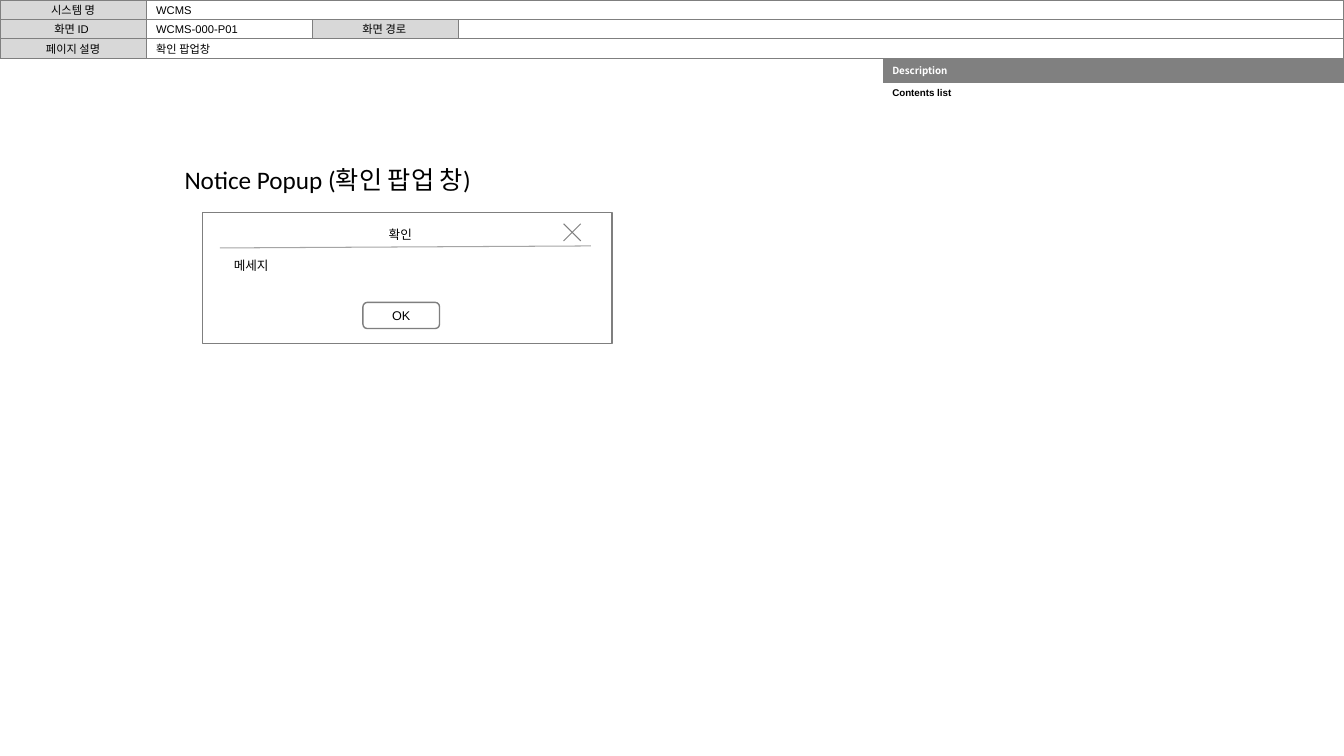
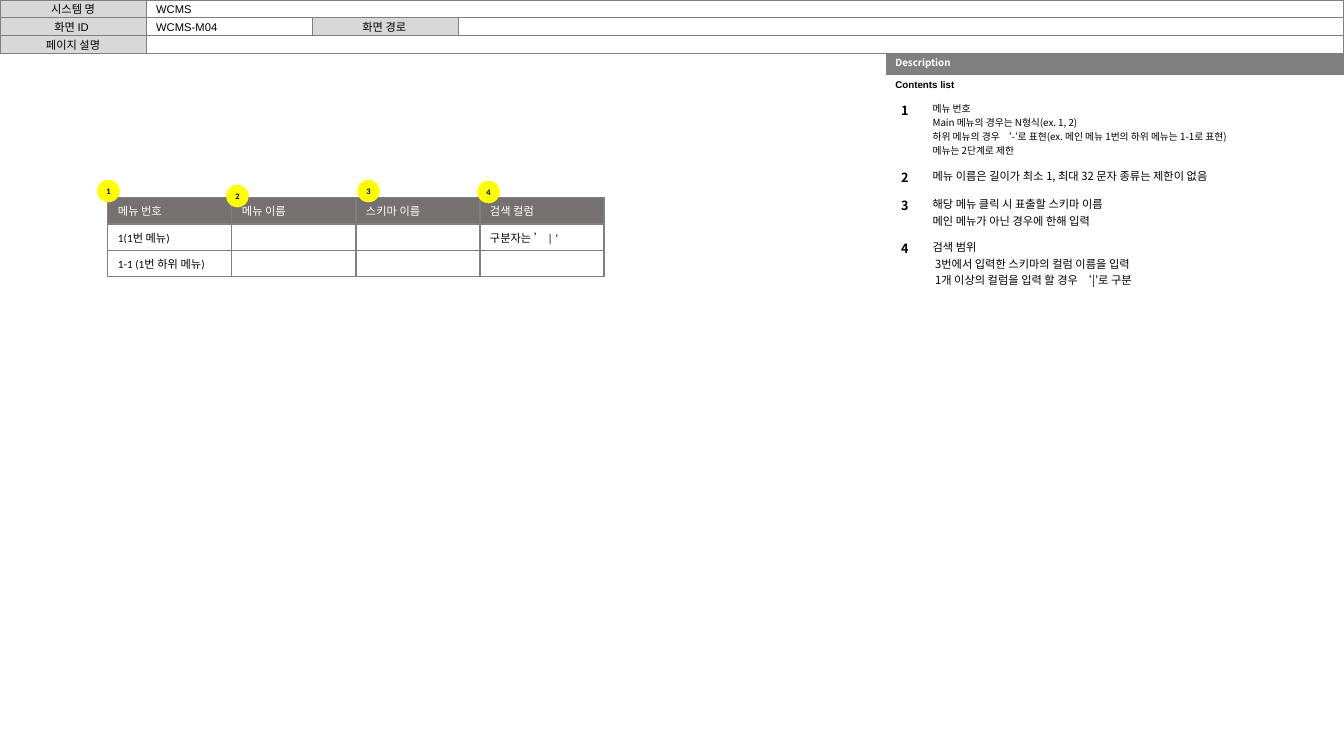
from lxml.etree import SubElement
from pptx import Presentation
from pptx.dml.color import RGBColor
from pptx.enum.shapes import MSO_CONNECTOR, MSO_SHAPE
from pptx.enum.text import MSO_ANCHOR, PP_ALIGN
from pptx.oxml import parse_xml
from pptx.oxml.ns import nsdecls, qn
from pptx.util import Inches, Pt

WIDTH, HEIGHT = 13.33, 7.5
HANGUL = "Noto Sans CJK KR"
COLORS = {
    "text": "000000",
    "white": "FFFFFF",
    "label": "D8D8D8",
    "border": "7F7F7F",
    "rule": "A5A5A5",
    "band": "808080",
    "menu": "767171",
    "marker": "FFFF00",
}
RGB = {role: RGBColor.from_string(value) for role, value in COLORS.items()}
FORMATS = {
    "title": {"name": "Calibri", "size": Pt(18), "bold": False},
    "header": {"name": "Arial", "size": Pt(8)},
    "popup": {"name": "Arial", "size": Pt(9)},
    "band": {"name": HANGUL, "size": Pt(7), "bold": True},
    "contents": {"name": "Arial", "size": Pt(7), "bold": True},
    "number": {"name": HANGUL, "size": Pt(9), "bold": True},
    "note_small": {"name": HANGUL, "size": Pt(7)},
    "note": {"name": HANGUL, "size": Pt(8)},
    "menu": {"name": "Calibri", "size": Pt(8)},
    "marker": {"name": "Calibri", "size": Pt(6), "bold": True},
}
NO_GRID_STYLE = "{2D5ABB26-0587-4C30-8999-92F81FD0307C}"
COLUMN_EDGES = [0, 1.45, 3.1, 4.55, WIDTH]
BAND_HEIGHT, CONTENTS_HEIGHT = 0.24, 0.21


def write(frame, text, style, color="text", align=PP_ALIGN.LEFT):
    for index, line in enumerate(text.split("\n")):
        paragraph = frame.paragraphs[0] if index == 0 else frame.add_paragraph()
        paragraph.alignment = align
        if not line:
            ending = paragraph._p.get_or_add_endParaRPr()
            ending.set("sz", str(FORMATS[style]["size"].centipoints))
            continue
        run = paragraph.add_run()
        run.text = line
        for attribute, value in FORMATS[style].items():
            setattr(run.font, attribute, value)
        run.font.color.rgb = RGB[color]
        SubElement(run.font._element if hasattr(run.font, "_element") else run._r.rPr,
                   qn("a:ea"), typeface=HANGUL)


def draw(slide, kind, box, text="", style="popup", fill=None, line=None,
         weight=0.75, align=PP_ALIGN.CENTER, inset=0.1):
    shape = slide.shapes.add_shape(kind, *map(Inches, box))
    shape.shadow.inherit = False
    if fill:
        shape.fill.solid()
        shape.fill.fore_color.rgb = RGB[fill]
    else:
        shape.fill.background()
    if line:
        shape.line.color.rgb = RGB[line]
        shape.line.width = Pt(weight)
    else:
        shape.line.fill.background()
    frame = shape.text_frame
    settings = {"word_wrap": True, "vertical_anchor": MSO_ANCHOR.MIDDLE,
                "margin_left": Inches(inset), "margin_right": Inches(inset),
                "margin_top": 0, "margin_bottom": 0}
    for attribute, value in settings.items():
        setattr(frame, attribute, value)
    if text:
        write(frame, text, style, align=align)


presentation = Presentation()
presentation.slide_width = Inches(WIDTH)
presentation.slide_height = Inches(HEIGHT)
title_only, blank = presentation.slide_layouts[5], presentation.slide_layouts[6]

NOTES = [
    ("note_small", 0.66, "메뉴 번호\nMain 메뉴의 경우는 N형식(ex. 1, 2)\n"
     "하위 메뉴의 경우 ‘-’로 표현(ex. 메인 메뉴 1번의 하위 메뉴는 1-1로 표현)\n"
     "메뉴는 2단계로 제한"),
    ("note", 0.28, "메뉴 이름은 길이가 최소 1, 최대 32 문자 종류는 제한이 없음"),
    ("note", 0.42, "해당 메뉴 클릭 시 표출할 스키마 이름\n메인 메뉴가 아닌 경우에 한해 입력"),
    ("note", 0.58, "검색 범위\n 3번에서 입력한 스키마의 컬럼 이름을 입력\n"
     " 1개 이상의 컬럼을 입력 할 경우 ‘|’로 구분"),
]
SCREENS = [
    {"layout": title_only, "id": "WCMS-000-P01", "about": "확인 팝업창",
     "header": 0.58, "left": 8.76, "top": 0.58, "number": 0.54, "notes": [], "spare": 0.24},
    {"layout": blank, "id": "WCMS-M04", "about": "",
     "header": 0.53, "left": 8.79, "top": 0.5, "number": 0.37, "notes": NOTES, "spare": 0.2},
]
DESCRIPTION_ROWS = 12

slides = []
for screen in SCREENS:
    slide = presentation.slides.add_slide(screen["layout"])
    slides.append(slide)

    notes = screen["notes"]
    heights = [BAND_HEIGHT, CONTENTS_HEIGHT] + [note[1] for note in notes]
    heights += [screen["spare"]] * (DESCRIPTION_ROWS - len(heights))
    description_width = WIDTH - screen["left"]
    description = slide.shapes.add_table(
        DESCRIPTION_ROWS, 2, Inches(screen["left"]), Inches(screen["top"]),
        Inches(description_width), Inches(sum(heights))).table
    description._tbl.tblPr[0].text = NO_GRID_STYLE
    description.first_row = description.horz_banding = False
    description.columns[0].width = Inches(screen["number"])
    description.columns[1].width = Inches(description_width - screen["number"])
    for row, height in zip(description.rows, heights):
        row.height = Inches(height)
    for row in range(2):
        description.cell(row, 0).merge(description.cell(row, 1))
    for cell in description.iter_cells():
        cell.margin_left = cell.margin_right = Inches(0.09)
        cell.fill.background()
    band = description.cell(0, 0)
    band.fill.solid()
    band.fill.fore_color.rgb = RGB["band"]
    write(band.text_frame, "Description", "band", "white")
    write(description.cell(1, 0).text_frame, "Contents list", "contents")
    for row in range(2, DESCRIPTION_ROWS):
        number, detail = description.cell(row, 0), description.cell(row, 1)
        number.margin_left = number.margin_right = 0
        style, _, text = notes[row - 2] if row - 2 < len(notes) else ("note_small", 0, "")
        write(number.text_frame, str(row - 1) if text else "", "number" if text else style,
              align=PP_ALIGN.CENTER)
        write(detail.text_frame, text, style)

    header_row = screen["header"] / 3
    header_cells = [
        (0, 0, 1, "시스템 명"), (0, 1, 4, "WCMS"),
        (1, 0, 1, "화면 ID "), (1, 1, 2, screen["id"]),
        (1, 2, 3, "화면 경로 "), (1, 3, 4, ""),
        (2, 0, 1, "페이지 설명"), (2, 1, 4, screen["about"]),
    ]
    for row, start, end, text in header_cells:
        is_label = start in (0, 2)
        left, right = COLUMN_EDGES[start], COLUMN_EDGES[end]
        draw(slide, MSO_SHAPE.RECTANGLE, (left, row * header_row, right - left, header_row),
             text, "header", "label" if is_label else "white", "border",
             align=PP_ALIGN.CENTER if is_label else PP_ALIGN.LEFT)

popup_slide, menu_slide = slides

title = popup_slide.shapes.title
title_format = {"left": Inches(1.73), "top": Inches(1.58),
                "width": Inches(3.28), "height": Inches(0.4)}
for attribute, value in title_format.items():
    setattr(title, attribute, value)
title.text_frame.word_wrap = False
title.text_frame.vertical_anchor = MSO_ANCHOR.MIDDLE
write(title.text_frame, "Notice Popup (확인 팝업 창)", "title")

draw(popup_slide, MSO_SHAPE.RECTANGLE, (2.01, 2.11, 4.06, 1.3),
     fill="white", line="border", weight=1)
popup_lines = [
    (2.18, 2.46, 5.86, 2.44, "rule"),
    (5.76, 2.22, 5.59, 2.39, "border"),
    (5.59, 2.22, 5.76, 2.39, "border"),
]
for *ends, color in popup_lines:
    stroke = popup_slide.shapes.add_connector(MSO_CONNECTOR.STRAIGHT, *map(Inches, ends))
    stroke.line.color.rgb = RGB[color]
    stroke.line.width = Pt(0.75)
    SubElement(stroke._element.spPr, qn("a:effectLst"))
popup_texts = [
    ((3.33, 2.2, 1.28, 0.25), "확인", PP_ALIGN.CENTER),
    ((2.22, 2.51, 3.85, 0.25), "메세지", PP_ALIGN.LEFT),
]
for box, text, align in popup_texts:
    label = popup_slide.shapes.add_textbox(*map(Inches, box))
    label.text_frame.word_wrap = True
    write(label.text_frame, text, "popup", align=align)
draw(popup_slide, MSO_SHAPE.ROUNDED_RECTANGLE, (3.6, 3, 0.76, 0.26), "OK",
     line="border", weight=1)

MENU_ROWS = [
    ["메뉴 번호", "메뉴 이름", "스키마 이름", "검색 컬럼"],
    ["1(1번 메뉴)", "", "", "구분자는 ’ | ‘"],
    ["1-1 (1번 하위 메뉴)", "", "", ""],
]
menu_column, menu_row = 1.23, 0.26
menu = menu_slide.shapes.add_table(
    len(MENU_ROWS), 4, Inches(1.07), Inches(1.96),
    Inches(4 * menu_column), Inches(len(MENU_ROWS) * menu_row)).table
menu._tbl.tblPr[0].text = NO_GRID_STYLE
menu.horz_banding = False
for column in menu.columns:
    column.width = Inches(menu_column)
for row_index, texts in enumerate(MENU_ROWS):
    menu.rows[row_index].height = Inches(menu_row)
    for column_index, text in enumerate(texts):
        cell = menu.cell(row_index, column_index)
        if row_index == 0:
            cell.fill.solid()
            cell.fill.fore_color.rgb = RGB["menu"]
        else:
            cell.fill.background()
        write(cell.text_frame, text, "menu", "text" if row_index else "white")
        for position, side in enumerate(("lnL", "lnR", "lnT", "lnB")):
            cell._tc.get_or_add_tcPr().insert(position, parse_xml(
                f'<a:{side} {nsdecls("a")} w="{Pt(1)}"><a:solidFill>'
                f'<a:srgbClr val="{COLORS["band"]}"/></a:solidFill></a:{side}>'))

marker_size = 0.21
marker_corners = [(0.97, 1.79), (2.25, 1.84), (3.55, 1.79), (4.74, 1.8)]
for number, (left, top) in enumerate(marker_corners, 1):
    draw(menu_slide, MSO_SHAPE.FLOWCHART_CONNECTOR, (left, top, marker_size, marker_size),
         str(number), "marker", "marker", "marker", 1, inset=0)

presentation.save("out.pptx")
